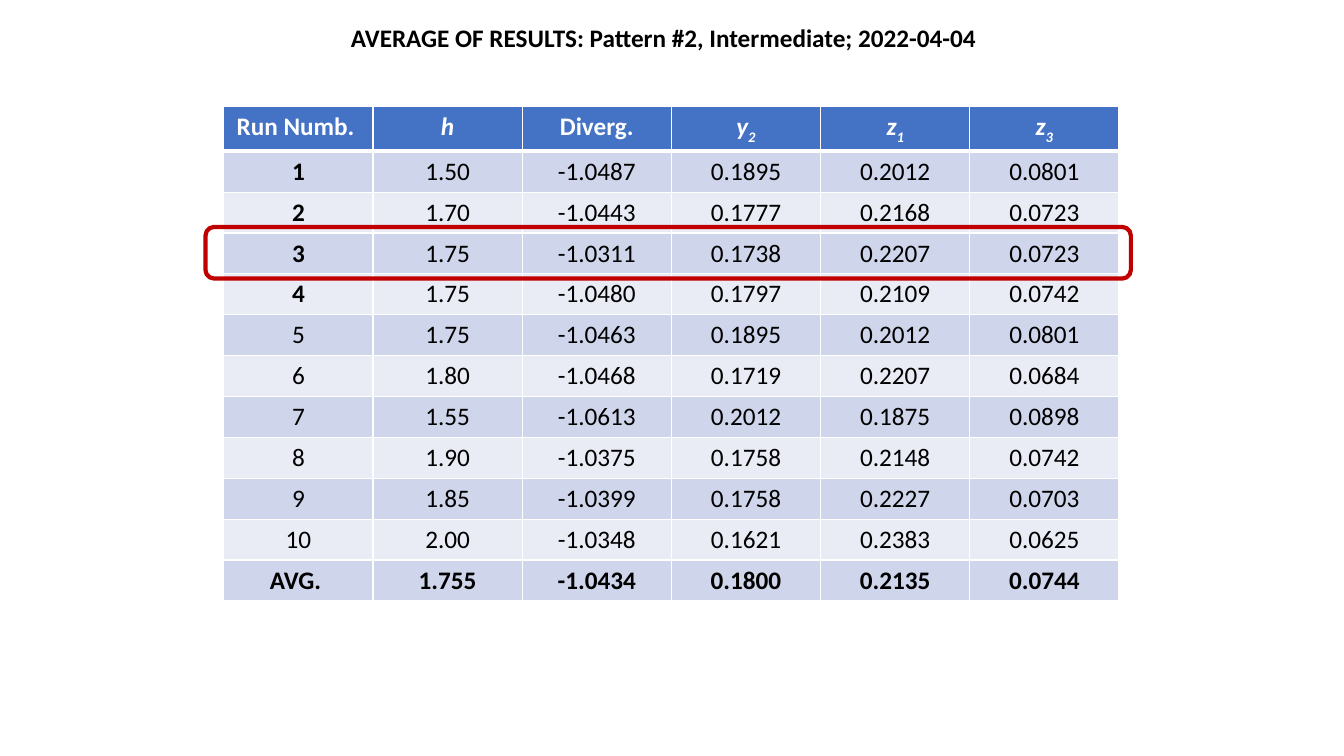
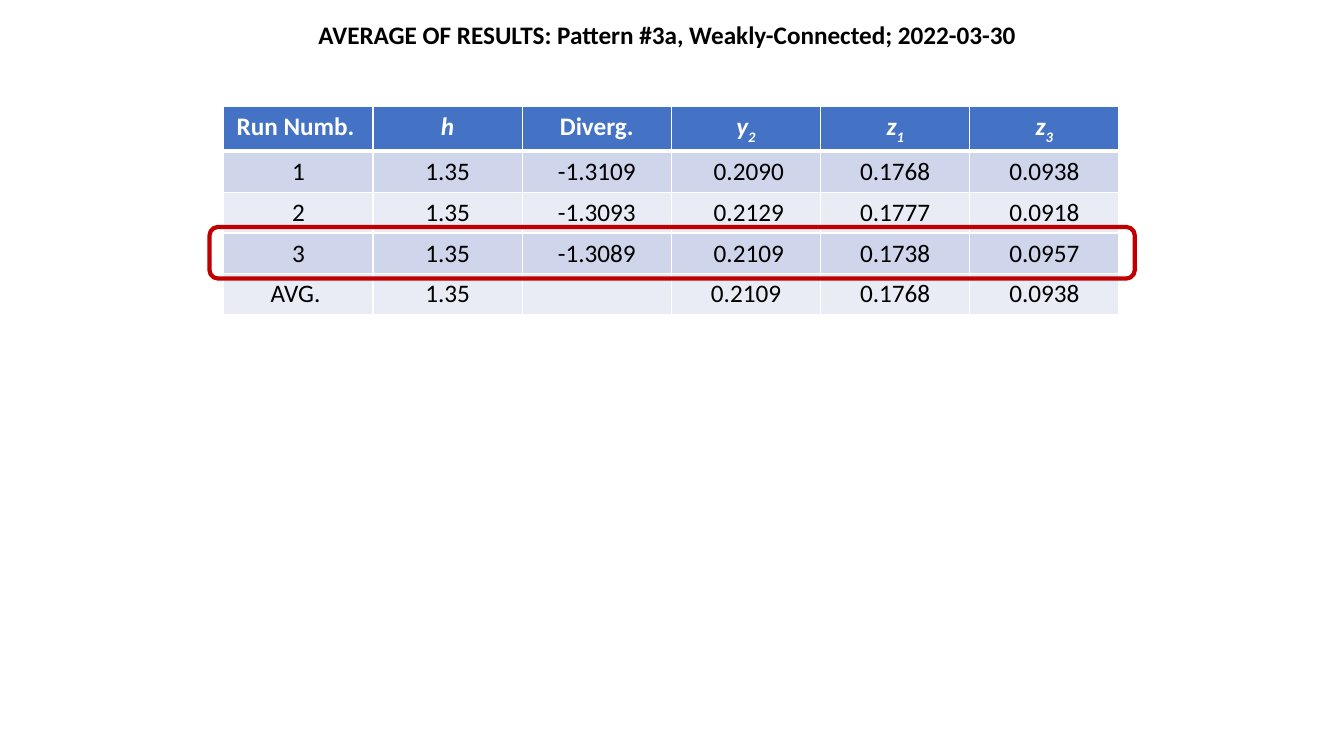
import pptx
import pptx.util
import pptx.dml.color
import pptx.enum.shapes
import pptx.enum.text
import pptx.oxml
import pptx.oxml.ns

Cm, Pt = pptx.util.Cm, pptx.util.Pt
RGBColor = pptx.dml.color.RGBColor

# Content: header cells are (symbol, subscript, italic)
HEADER = [
    ("Run Numb. ", "", False),
    ("h", "", True),
    ("Diverg.", "", False),
    ("y", "2", True),
    ("z", "1", True),
    ("z", "3", True),
]
RESULTS = [
    {
        "title": "AVERAGE OF RESULTS: Pattern #2, Intermediate; 2022-04-04",
        "title_box": (8.59, 0.43, 16.43, 1.02),
        "highlight_left": 5.18,
        "bold_labels": {"1", "2", "3", "4"},
        "bold_rows": {"AVG. "},
        "runs": [
            ("1", "1.50", "-1.0487", "0.1895", "0.2012", "0.0801"),
            ("2", "1.70", "-1.0443", "0.1777", "0.2168", "0.0723"),
            ("3", "1.75", "-1.0311", "0.1738", "0.2207", "0.0723"),
            ("4", "1.75", "-1.0480", "0.1797", "0.2109", "0.0742"),
            ("5", "1.75", "-1.0463", "0.1895", "0.2012", "0.0801"),
            ("6", "1.80", "-1.0468", "0.1719", "0.2207", "0.0684"),
            ("7", "1.55", "-1.0613", "0.2012", "0.1875", "0.0898"),
            ("8", "1.90", "-1.0375", "0.1758", "0.2148", "0.0742"),
            ("9", "1.85", "-1.0399", "0.1758", "0.2227", "0.0703"),
            ("10", "2.00", "-1.0348", "0.1621", "0.2383", "0.0625"),
            ("AVG. ", "1.755", "-1.0434", "0.1800", "0.2135", "0.0744"),
        ],
    },
    {
        "title": "AVERAGE OF RESULTS: Pattern #3a, Weakly-Connected; 2022-03-30",
        "title_box": (7.77, 0.36, 18.31, 1.02),
        "highlight_left": 5.28,
        "bold_labels": set(),
        "bold_rows": set(),
        "runs": [
            ("1", "1.35", "-1.3109", " 0.2090", "0.1768", "0.0938"),
            ("2", "1.35", "-1.3093", " 0.2129", "0.1777", "0.0918"),
            ("3", "1.35", "-1.3089", " 0.2109", "0.1738", "0.0957"),
            ("AVG. ", "1.35", "", "0.2109", "0.1768", "0.0938"),
        ],
    },
]

# Shared style
FONT, SIZE = "Calibri", Pt(18)
BLACK = RGBColor(0x00, 0x00, 0x00)
WHITE = RGBColor(0xFF, 0xFF, 0xFF)
HEADER_BLUE = RGBColor(0x44, 0x72, 0xC4)
BANDS = [RGBColor(0xCF, 0xD5, 0xEA), RGBColor(0xE9, 0xEB, 0xF5)]
HIGHLIGHT_RED = RGBColor(0xC0, 0x00, 0x00)
TABLE_LEFT, TABLE_TOP = Cm(5.64), Cm(2.69)
COLUMN_WIDTH, ROW_HEIGHT = Cm(3.76), Cm(1.03)
HIGHLIGHT_TOP, HIGHLIGHT_WIDTH, HIGHLIGHT_HEIGHT = Cm(5.72), Cm(23.32), Cm(1.3)
THIN, THICK = Pt(1), Pt(3)


def style_run(run, color, bold, italic=False):
    font = run.font
    font.name, font.size = FONT, SIZE
    font.color.rgb = color
    font.bold, font.italic = bold, italic


def style_cell(cell, fill, top=THIN, bottom=THIN):
    cell_properties = cell._tc.get_or_add_tcPr()
    for side, width in (("L", THIN), ("R", THIN), ("T", top), ("B", bottom)):
        cell_properties.append(pptx.oxml.parse_xml(
            f'<a:ln{side} {pptx.oxml.ns.nsdecls("a")} w="{width}"><a:solidFill>'
            f'<a:srgbClr val="{WHITE}"/></a:solidFill></a:ln{side}>'))
    cell.fill.solid()
    cell.fill.fore_color.rgb = fill
    cell.text_frame.paragraphs[0].alignment = pptx.enum.text.PP_ALIGN.CENTER


def add_title(slide, text, box):
    title = slide.shapes.title
    title.left, title.top, title.width, title.height = map(Cm, box)
    frame = title.text_frame
    frame.text = text
    frame.word_wrap = False
    frame.auto_size = pptx.enum.text.MSO_AUTO_SIZE.SHAPE_TO_FIT_TEXT
    frame.vertical_anchor = pptx.enum.text.MSO_ANCHOR.TOP
    frame.paragraphs[0].alignment = pptx.enum.text.PP_ALIGN.LEFT
    style_run(frame.paragraphs[0].runs[0], BLACK, True)


def add_results_table(slide, result):
    runs = result["runs"]
    row_count, column_count = len(runs) + 1, len(HEADER)
    table = slide.shapes.add_table(
        row_count, column_count, TABLE_LEFT, TABLE_TOP,
        COLUMN_WIDTH * column_count, ROW_HEIGHT * row_count).table

    # Header row
    for column, (symbol, subscript, italic) in enumerate(HEADER):
        cell = table.cell(0, column)
        style_cell(cell, HEADER_BLUE, bottom=THICK)
        paragraph = cell.text_frame.paragraphs[0]
        paragraph.text = symbol
        style_run(paragraph.runs[0], WHITE, True, italic)
        if subscript:
            index = paragraph.add_run()
            index.text = subscript
            style_run(index, WHITE, True, italic)
            index.font._element.set("baseline", "-25000")

    # Banded rows of values
    for row, values in enumerate(runs, start=1):
        label = values[0]
        for column, value in enumerate(values):
            cell = table.cell(row, column)
            style_cell(cell, BANDS[(row - 1) % 2], top=THICK if row == 1 else THIN)
            paragraph = cell.text_frame.paragraphs[0]
            paragraph.text = value
            bold = label in result["bold_rows"] or (
                column == 0 and label in result["bold_labels"])
            for run in paragraph.runs:
                style_run(run, BLACK, bold)


def add_highlight(slide, left):
    highlight = slide.shapes.add_shape(
        pptx.enum.shapes.MSO_SHAPE.ROUNDED_RECTANGLE,
        Cm(left), HIGHLIGHT_TOP, HIGHLIGHT_WIDTH, HIGHLIGHT_HEIGHT)
    highlight.shadow.inherit = False
    highlight.fill.background()
    highlight.line.color.rgb = HIGHLIGHT_RED
    highlight.line.width = THICK


def main():
    deck = pptx.Presentation()
    deck.slide_width, deck.slide_height = Cm(33.87), Cm(19.05)
    title_only = deck.slide_layouts[5]
    for result in RESULTS:
        slide = deck.slides.add_slide(title_only)
        add_title(slide, result["title"], result["title_box"])
        add_results_table(slide, result)
        add_highlight(slide, result["highlight_left"])
    deck.save("out.pptx")


if __name__ == "__main__":
    main()
